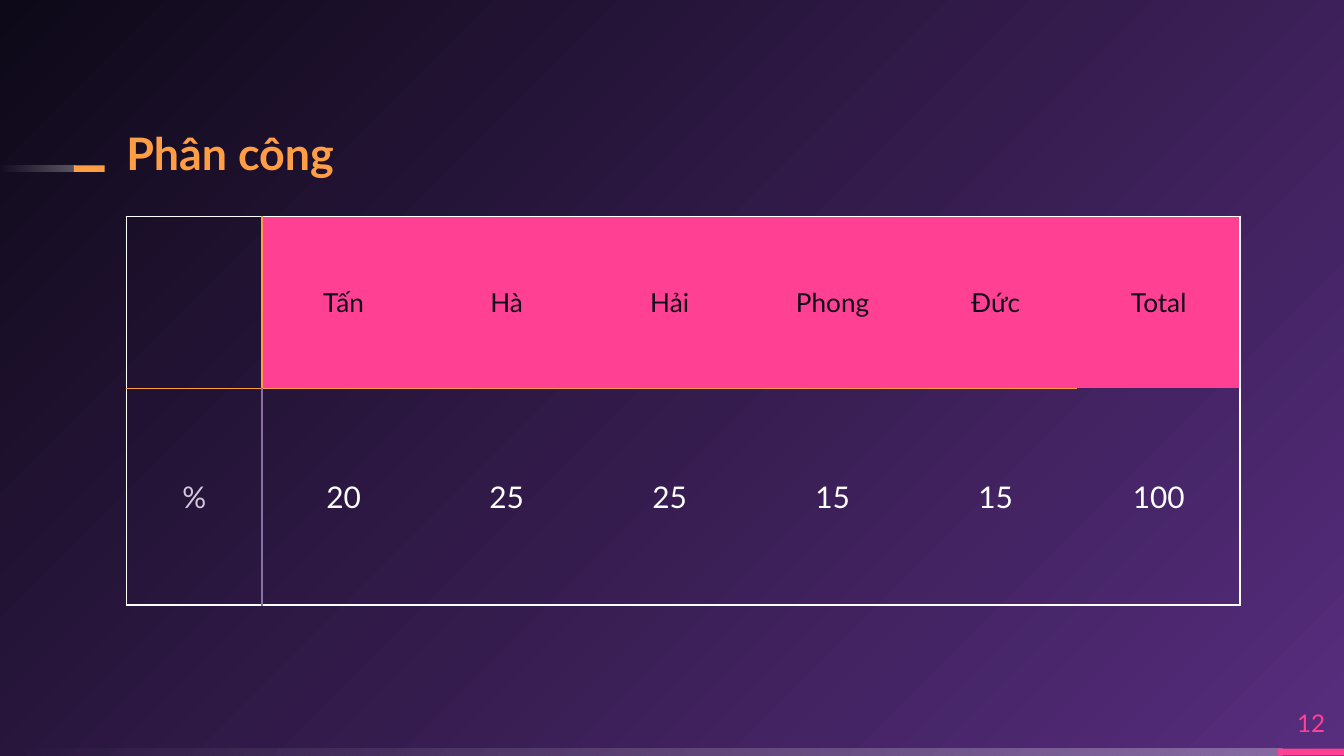
import pptx
import pptx.dml.color
import pptx.enum.shapes
import pptx.enum.text
import pptx.oxml.ns
import pptx.util
from lxml import etree

Inches = pptx.util.Inches
RGBColor = pptx.dml.color.RGBColor
Anchor = pptx.enum.text.MSO_ANCHOR
Align = pptx.enum.text.PP_ALIGN
qn = pptx.oxml.ns.qn

PINK = RGBColor(0xFF, 0x40, 0x93)
ORANGE = RGBColor(0xFF, 0x9E, 0x44)
WHITE = RGBColor(0xFF, 0xFF, 0xFF)
NIGHT = RGBColor(0x0E, 0x09, 0x18)
PURPLE = RGBColor(0x57, 0x2D, 0x7E)
LILAC = RGBColor(0xD1, 0xC8, 0xDA)
MAUVE = RGBColor(0x88, 0x70, 0xA0)

FONT = "Lato"
HEADER = ["", "Tấn", "Hà", "Hải", "Phong", "Đức", "Total"]
SHARES = ["%", "20", "25", "25", "15", "15", "100"]
TABLE_WIDTH = 8.29
LABEL_WIDTH = 1.01
MEMBER_WIDTH = (TABLE_WIDTH - LABEL_WIDTH) / (len(HEADER) - 1)
OUTER = (WHITE, 1)
ACCENT = (ORANGE, 0.75)
DIVIDER = (MAUVE, 0.75)


def set_gradient(fill, owner, colors):
    """Give a fill two gradient colours and return its XML element."""
    fill.gradient()
    for stop, color, position in zip(fill.gradient_stops, colors, (0, 1)):
        stop.color.rgb = color
        stop.position = position
    return next(owner.iter(qn("a:gradFill")))


def paint_background(slide):
    """Spread a round glow from the bottom right corner."""
    gradient = set_gradient(slide.background.fill, slide.element, (PURPLE, NIGHT))
    for linear in gradient.findall(qn("a:lin")):
        gradient.remove(linear)
    glow = etree.SubElement(gradient, qn("a:path"), path="circle")
    etree.SubElement(glow, qn("a:fillToRect"), l="100000", t="100000")


def add_bar(slide, left, top, width, color=None):
    """Add a thin bar, either solid or fading out to the left."""
    bar = slide.shapes.add_shape(
        pptx.enum.shapes.MSO_SHAPE.RECTANGLE,
        Inches(left), Inches(top), Inches(width), Inches(0.05))
    bar.shadow.inherit = False
    bar.line.fill.background()
    if color is not None:
        bar.fill.solid()
        bar.fill.fore_color.rgb = color
        return
    gradient = set_gradient(bar.fill, bar.element, (WHITE, WHITE))
    bar.fill.gradient_angle = 180
    for tint, alpha in zip(gradient.iter(qn("a:srgbClr")), ("30000", "0")):
        etree.SubElement(tint, qn("a:alpha"), val=alpha)


def write(para, text, size, color, bold=False):
    """Append one styled run to a paragraph."""
    span = para.add_run()
    span.text = text
    span.font.name = FONT
    span.font.size = pptx.util.Pt(size)
    span.font.bold = bold
    span.font.color.rgb = color


def add_text(slide, left, top, width, height, anchor, align):
    """Add a text box without margins and return its first paragraph."""
    box = slide.shapes.add_textbox(
        Inches(left), Inches(top), Inches(width), Inches(height))
    frame = box.text_frame
    frame.word_wrap = True
    frame.vertical_anchor = anchor
    frame.margin_left = frame.margin_right = 0
    frame.margin_top = frame.margin_bottom = 0
    para = frame.paragraphs[0]
    para.alignment = align
    return para


def set_borders(cell, borders):
    """Draw the left, right, top and bottom borders of a cell."""
    properties = cell._tc.get_or_add_tcPr()
    for index, (side, border) in enumerate(zip("LRTB", borders)):
        line = etree.Element(qn(f"a:ln{side}"))
        if border:
            color, width = border
            line.set("w", str(pptx.util.Pt(width)))
            solid = etree.SubElement(line, qn("a:solidFill"))
            etree.SubElement(solid, qn("a:srgbClr"), val=str(color))
        else:
            etree.SubElement(line, qn("a:noFill"))
        properties.insert(index, line)


def cell_borders(row, column):
    """Choose the borders of a cell from its place in the table."""
    last = len(HEADER) - 1
    divider = DIVIDER if row else ACCENT
    left = {0: OUTER, 1: divider}.get(column)
    right = {0: divider, last: OUTER}.get(column)
    middle = ACCENT if column < last else None
    return (left, right, middle, OUTER) if row else (left, right, OUTER, middle)


def fill_cell(cell, text, row, column):
    """Style one table cell and write its text."""
    cell.vertical_anchor = Anchor.MIDDLE
    cell.margin_left = cell.margin_right = Inches(0.1)
    cell.margin_top = cell.margin_bottom = Inches(0.1)
    if row == 0 and column > 0:
        cell.fill.solid()
        cell.fill.fore_color.rgb = PINK
    else:
        cell.fill.background()
    set_borders(cell, cell_borders(row, column))
    para = cell.text_frame.paragraphs[0]
    para.alignment = Align.CENTER
    if text and row == 0:
        write(para, text, 14, NIGHT)
    elif text:
        write(para, text, 16, WHITE if column else LILAC)


def add_share_table(slide):
    """Add the table of each member's share of the work."""
    table = slide.shapes.add_table(
        2, len(HEADER), Inches(0.94), Inches(1.61),
        Inches(TABLE_WIDTH), Inches(2.89)).table
    table.first_row = False
    table.horz_banding = False
    for index, column in enumerate(table.columns):
        column.width = Inches(MEMBER_WIDTH if index else LABEL_WIDTH)
    for row, height in zip(table.rows, (1.28, 1.61)):
        row.height = Inches(height)
    for row, texts in enumerate((HEADER, SHARES)):
        for column, text in enumerate(texts):
            fill_cell(table.cell(row, column), text, row, column)


def main():
    """Build the slide and save the deck."""
    deck = pptx.Presentation()
    deck.slide_width = Inches(10)
    deck.slide_height = Inches(10 * 9 / 16)
    slide = deck.slides.add_slide(deck.slide_layouts[6])
    paint_background(slide)
    add_bar(slide, 0, 5.57, 9.54)
    add_bar(slide, 9.51, 5.57, 0.49, PINK)
    add_bar(slide, 0, 1.23, 0.56)
    add_bar(slide, 0.55, 1.23, 0.23, ORANGE)
    title = add_text(slide, 0.94, 0.91, 5.8, 0.43, Anchor.BOTTOM, Align.LEFT)
    title.line_spacing = 0.9
    write(title, "Phân công", 24, ORANGE, bold=True)
    number = add_text(slide, 9.51, 5.19, 0.49, 0.38, Anchor.MIDDLE, Align.CENTER)
    write(number, "12", 13, PINK)
    add_share_table(slide)
    deck.save("out.pptx")


if __name__ == "__main__":
    main()
